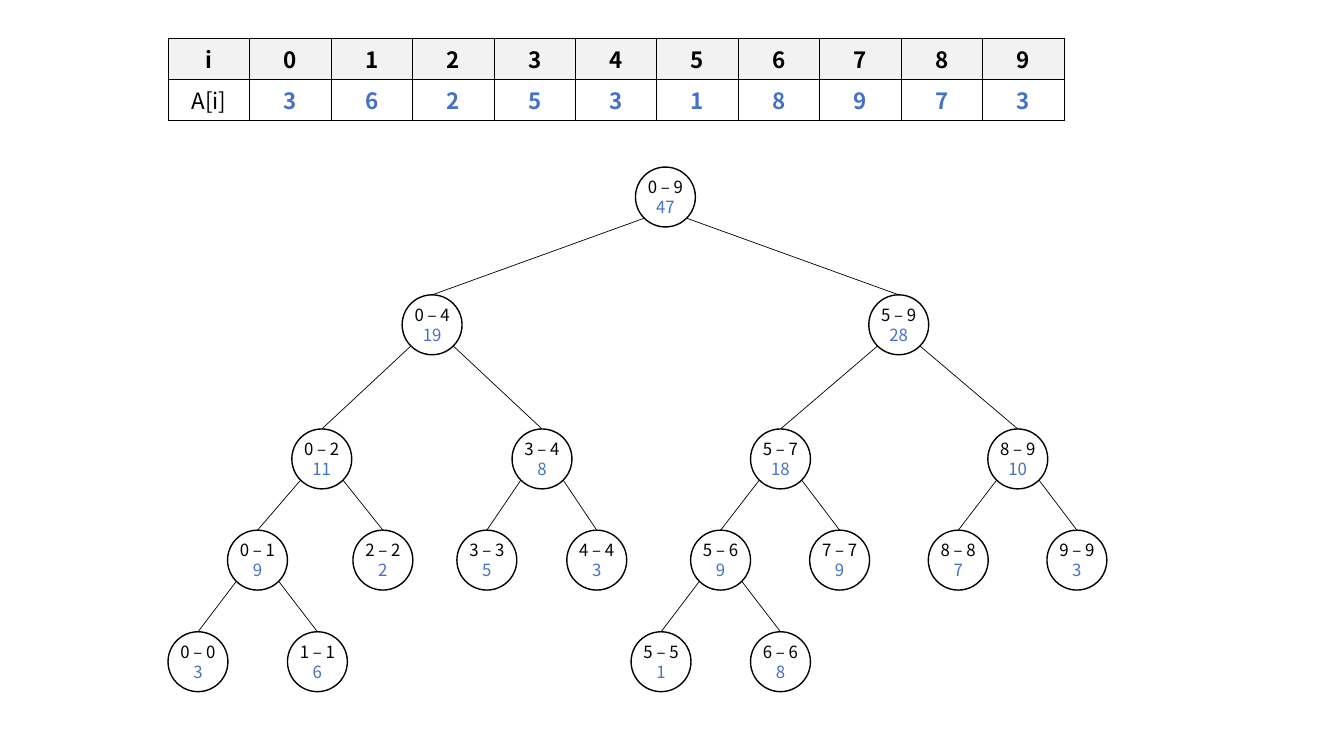
from lxml.etree import SubElement
from pptx import Presentation
from pptx.dml.color import RGBColor
from pptx.enum.shapes import MSO_CONNECTOR as Connector, MSO_SHAPE as Shape
from pptx.enum.text import MSO_ANCHOR as Anchor, PP_ALIGN as Align
from pptx.oxml import parse_xml
from pptx.oxml.ns import nsdecls, qn
from pptx.util import Cm, Pt

BLACK = RGBColor(0x00, 0x00, 0x00)
BLUE = RGBColor(0x44, 0x72, 0xC4)
GREY = RGBColor(0xF2, 0xF2, 0xF2)
WHITE = RGBColor(0xFF, 0xFF, 0xFF)
FONT = "Noto Sans CJK KR"

VALUES = [3, 6, 2, 5, 3, 1, 8, 9, 7, 3]

# Tree layout in cm: the top of each level and its node centres, left to right
DIAMETER = 1.51
LEVELS = [
    (4.21, [16.77]),
    (7.43, [10.89, 22.65]),
    (10.81, [8.11, 13.66, 19.67, 25.65]),
    (13.36, [6.49, 9.65, 12.27, 15.04, 18.16, 21.16, 24.15, 27.14]),
    (15.92, [4.99, 8.0, 16.66, 19.67]),
]


def add_text(paragraph, text, size, color, bold=False):
    run = paragraph.add_run()
    run.text = text
    run.font.color.rgb = color
    for name, value in {"name": FONT, "size": Pt(size), "bold": bold}.items():
        setattr(run.font, name, value)


def add_borders(cell):
    properties = cell._tc.get_or_add_tcPr()
    for position, side in enumerate(("lnL", "lnR", "lnT", "lnB")):
        properties.insert(position, parse_xml(
            f'<a:{side} {nsdecls("a")} w="{Pt(0.5)}"><a:solidFill>'
            f'<a:srgbClr val="{BLACK}"/></a:solidFill></a:{side}>'))


presentation = Presentation()
presentation.slide_width = Cm(33.87)
presentation.slide_height = Cm(19.05)
slide = presentation.slides.add_slide(presentation.slide_layouts[6])

# Array table: indices above values
columns = len(VALUES) + 1
frame = slide.shapes.add_table(2, columns, Cm(4.24), Cm(0.97), Cm(22.58), Cm(2.06))
table = frame.table
table.first_row = table.horz_banding = False
rows = [["i", *range(len(VALUES))], ["A[i]", *VALUES]]
cell_format = {"vertical_anchor": Anchor.MIDDLE, "margin_left": Cm(0.1),
               "margin_right": Cm(0.1), "margin_top": Cm(0.1), "margin_bottom": Cm(0.1)}
for row, entries in enumerate(rows):
    for column, entry in enumerate(entries):
        cell = table.cell(row, column)
        for name, value in cell_format.items():
            setattr(cell, name, value)
        cell.fill.solid()
        cell.fill.fore_color.rgb = WHITE if row else GREY
        add_borders(cell)
        paragraph = cell.text_frame.paragraphs[0]
        paragraph.alignment = Align.CENTER
        is_value = row == 1 and column > 0
        add_text(paragraph, str(entry), 16, BLUE if is_value else BLACK,
                 bold=row == 0 or is_value)

# Segment tree: each range is split in half until it holds one index
frame_format = {"vertical_anchor": Anchor.MIDDLE, "word_wrap": False, "margin_left": 0,
                "margin_right": 0, "margin_top": 0, "margin_bottom": 0}
diagonal = DIAMETER / 2 * 0.5 ** 0.5
ranges = [(0, len(VALUES) - 1, None)]
for top, centres in LEVELS:
    children = []
    for (first, last, edge_start), centre in zip(ranges, centres):
        # Node with its range and sum
        node = slide.shapes.add_shape(Shape.OVAL, Cm(centre - DIAMETER / 2), Cm(top),
                                      Cm(DIAMETER), Cm(DIAMETER))
        node.shadow.inherit = False
        node.fill.background()
        node.line.color.rgb = BLACK
        node.line.width = Pt(1)
        for name, value in frame_format.items():
            setattr(node.text_frame, name, value)
        paragraph = node.text_frame.paragraphs[0]
        paragraph.alignment = Align.CENTER
        paragraph.line_spacing = Pt(14.3)
        add_text(paragraph, f"{first} – {last}", 12, BLACK)
        paragraph.add_line_break()
        add_text(paragraph, str(sum(VALUES[first:last + 1])), 12, BLUE)

        # Edge from the parent's lower side to the top of this node
        if edge_start:
            start_x, start_y = edge_start
            edge = slide.shapes.add_connector(Connector.STRAIGHT, Cm(start_x), Cm(start_y),
                                              Cm(centre), Cm(top))
            edge.end_connect(node, 0)
            edge.line.color.rgb = BLACK
            edge.line.width = Pt(0.5)
            SubElement(edge._element.spPr, qn("a:effectLst"))

        # Halves for the next level
        if first < last:
            middle = (first + last) // 2
            edge_y = top + DIAMETER / 2 + diagonal
            children.append((first, middle, (centre - diagonal, edge_y)))
            children.append((middle + 1, last, (centre + diagonal, edge_y)))
    ranges = children

presentation.save("out.pptx")
